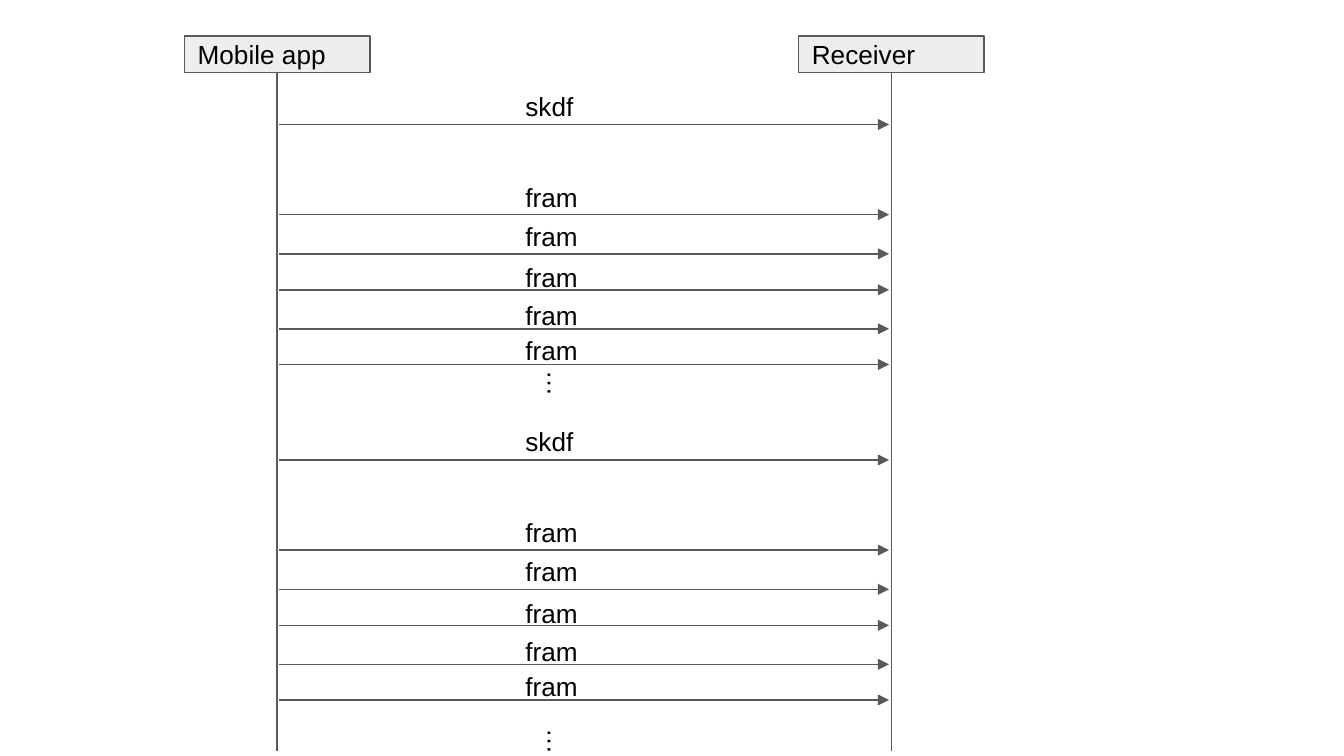
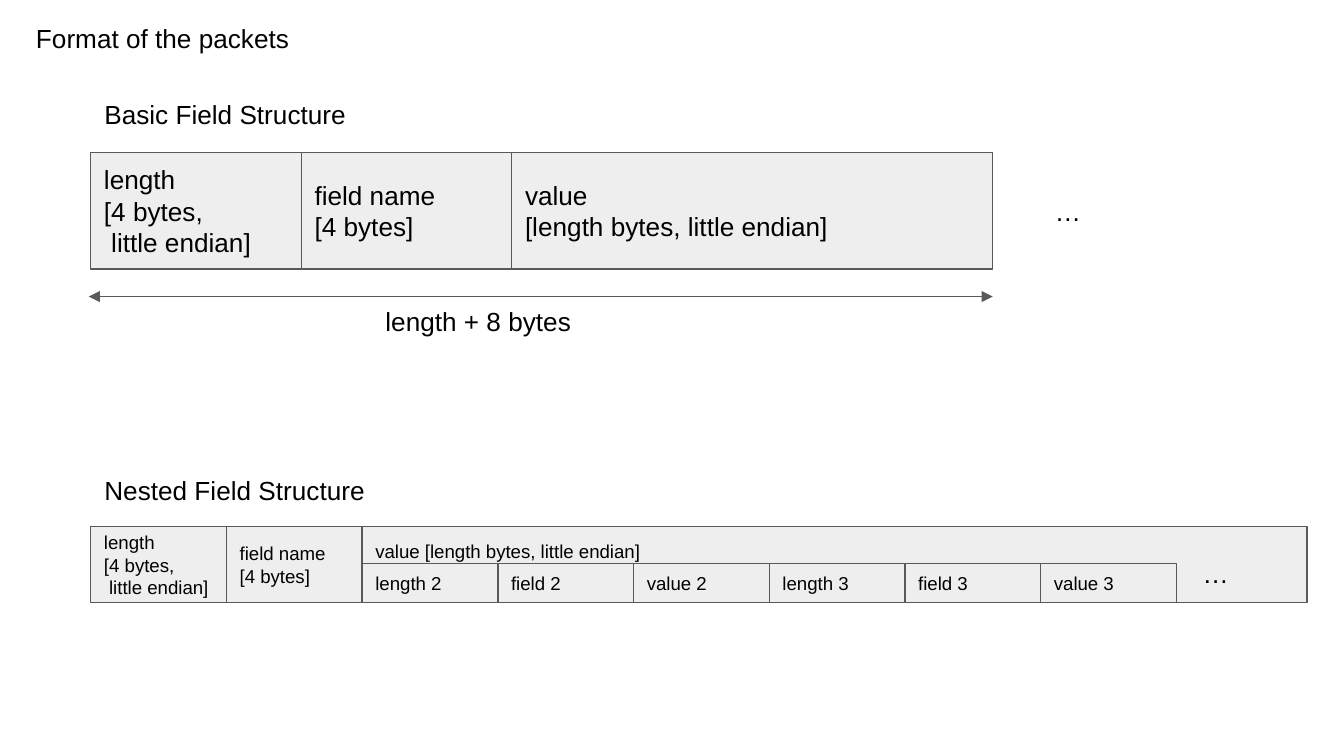
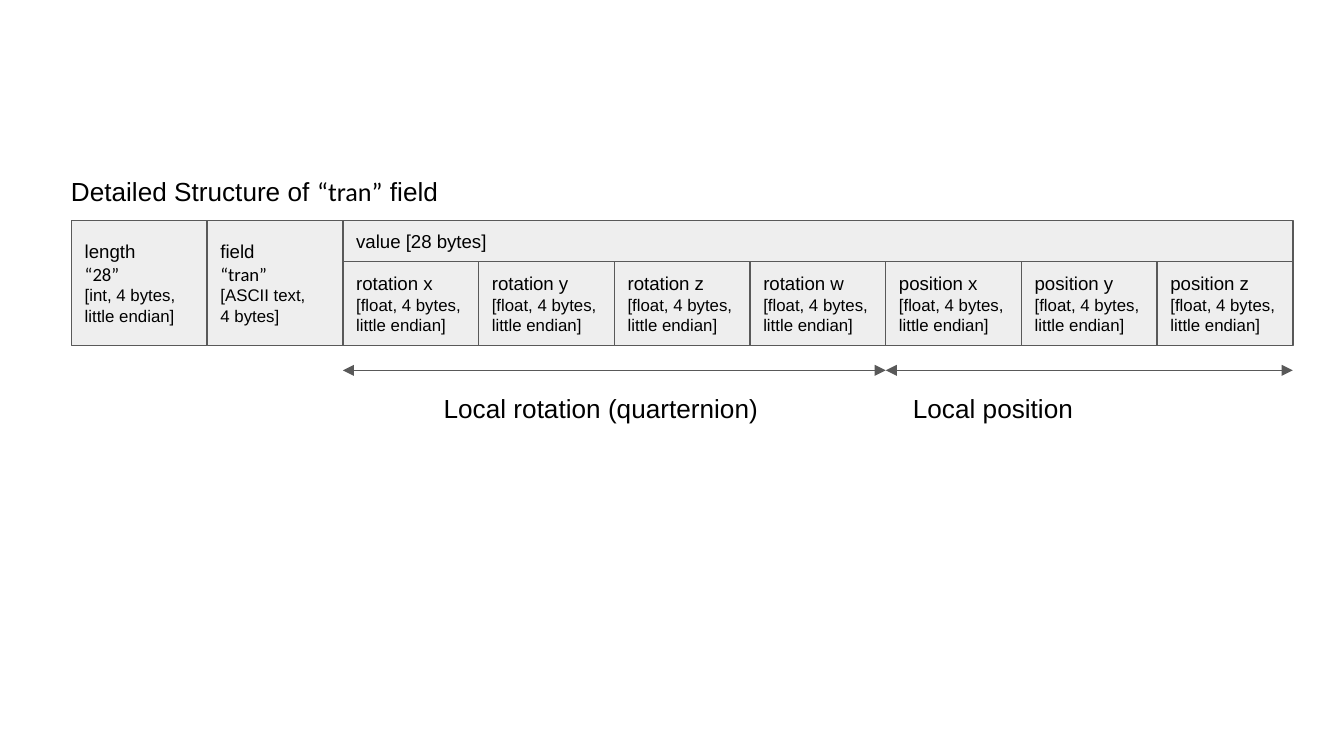
from dataclasses import dataclass

from lxml import etree
from pptx import Presentation
from pptx.dml.color import RGBColor
from pptx.enum import shapes, text
from pptx.oxml import ns
from pptx.util import Pt


@dataclass(frozen=True)
class Theme:
    fill: RGBColor = RGBColor(0xEE, 0xEE, 0xEE)
    line: RGBColor = RGBColor(0x59, 0x59, 0x59)
    ink: RGBColor = RGBColor(0, 0, 0)
    font: str = "Arial"
    quote_font: str = "Calibri"
    body: float = 14
    small: float = 10
    note: float = 9
    stroke: float = 0.75
    inset: float = 7.2
    label_height: float = 31


THEME = Theme()
COLUMN = 72.7  # width of one small packet field


# Content: a paragraph is a string or a list of runs (text, size, font)
def quoted(words, size):
    return words, size, THEME.quote_font


def noted(words):
    return [(words, THEME.note, THEME.font)]


# Sequence: participants (name, left), messages (name, label top, arrow y)
PARTICIPANTS = [("Mobile app", 98.8), ("Receiver", 427.8)]
MESSAGES = [
    ("skdf", 41, 66.7),
    ("fram", 89.8, 115),
    ("fram", 110.9, 136),
    ("fram", 133, 155.3),
    ("fram", 153.4, 176.2),
    ("fram", 172.2, 195.3),
]
ROUND_STEP = 179.7
ROUND_ENDS = [196.6, 388.1]  # tops of the closing ellipses

# Packet fields: (paragraphs, width)
LENGTH = ["length", "[4 bytes,", " little endian]"]
NAME = ["field name", "[4 bytes]"]
BASIC = [
    (LENGTH, 112.8),
    (NAME, 112.8),
    (["value", "[length bytes, little endian]"], 257.6),
]
NESTED = [(LENGTH, COLUMN), (NAME, COLUMN)]
NESTED_VALUE = ["value [length bytes, little endian]"]
NESTED_PARTS = [([f"{part} {number}"], COLUMN)
                for number in (2, 3) for part in ("length", "field", "value")]
PACKET_LABELS = [  # (words, left, top, width)
    ("Format of the packets", 12.2, 4.6, 214.6),
    ("Basic Field Structure", 48.8, 45.7, 214.6),
    ("Nested Field Structure", 48.8, 247.2, 214.6),
    ("length + 8 bytes", 199.4, 156.5, 214.6),
    ("…", 558, 97.3, 27.4),
    ("…", 637.2, 291.6, 27.4),
]

# The "tran" field
TRAN_TITLE = ["Detailed Structure of ", quoted("“tran”", THEME.body), " field"]
TRAN = [
    (["length", [quoted("“28”", THEME.small)],
      noted("[int, 4 bytes, little endian]")], COLUMN),
    (["field", [quoted("“tran”", THEME.small)],
      noted("[ASCII text,"), noted("4 bytes]")], COLUMN),
]
TRAN_PARTS = [([name, noted("[float, 4 bytes, little endian]")], COLUMN)
              for name in ("rotation x", "rotation y", "rotation z", "rotation w",
                           "position x", "position y", "position z")]
TRAN_GROUPS = [  # (words, number of parts, label left, label width)
    ("Local rotation (quarternion)", 4, 230.6, 229),
    ("Local position", 3, 482, 144),
]


# Shared parts
def write(frame, paragraphs, size, anchor):
    frame.word_wrap = True
    frame.vertical_anchor = anchor
    frame.margin_left = frame.margin_right = Pt(THEME.inset)
    frame.margin_top = frame.margin_bottom = Pt(THEME.inset)
    for index, content in enumerate(paragraphs):
        paragraph = frame.add_paragraph() if index else frame.paragraphs[0]
        paragraph.alignment = text.PP_ALIGN.LEFT
        for part in [content] if isinstance(content, str) else content:
            words, points, font = (part, size, THEME.font) if isinstance(part, str) else part
            run = paragraph.add_run()
            run.text = words
            run.font.size = Pt(points)
            run.font.name = font
            run.font.color.rgb = THEME.ink


def add_field(slide, paragraphs, left, top, width, height, size,
              anchor=text.MSO_ANCHOR.MIDDLE):
    field = slide.shapes.add_shape(shapes.MSO_SHAPE.RECTANGLE,
                                   Pt(left), Pt(top), Pt(width), Pt(height))
    field.shadow.inherit = False
    field.fill.solid()
    field.fill.fore_color.rgb = THEME.fill
    field.line.color.rgb = THEME.line
    field.line.width = Pt(THEME.stroke)
    write(field.text_frame, paragraphs, size, anchor)
    return field


def add_row(slide, fields, left, top, height, size):
    """Lay fields side by side and return the right edge."""
    for paragraphs, width in fields:
        add_field(slide, paragraphs, left, top, width, height, size)
        left += width
    return left


def add_label(slide, content, left, top, width):
    label = slide.shapes.add_textbox(Pt(left), Pt(top), Pt(width), Pt(THEME.label_height))
    write(label.text_frame, [content], THEME.body, text.MSO_ANCHOR.TOP)
    label.text_frame.auto_size = text.MSO_AUTO_SIZE.SHAPE_TO_FIT_TEXT
    return label


def add_line(slide, x1, y1, x2, y2, ends=()):
    line = slide.shapes.add_connector(shapes.MSO_CONNECTOR.STRAIGHT,
                                      Pt(x1), Pt(y1), Pt(x2), Pt(y2))
    line.line.color.rgb = THEME.line
    line.line.width = Pt(THEME.stroke)
    outline = line.line._get_or_add_ln()
    for end in ends:
        etree.SubElement(outline, ns.qn(f"a:{end}"), type="triangle")
    etree.SubElement(line._element.spPr, ns.qn("a:effectLst"))
    return line


def add_span(slide, left, right, y):
    add_line(slide, left, y, right, y, ("headEnd", "tailEnd"))


# Slides
def build_sequence(slide):
    top, width, height, bottom, gap = 19.2, 99.4, 19.8, 402.4, 1.2
    lifelines = []
    for name, left in PARTICIPANTS:
        participant = add_field(slide, [name], left, top, width, height, THEME.body)
        x = left + width / 2
        lifeline = add_line(slide, x, top + height, x, bottom)
        lifeline.begin_connect(participant, 2)
        lifelines.append(x)
    sender, receiver = lifelines

    for round_number, end_top in enumerate(ROUND_ENDS):
        shift = round_number * ROUND_STEP
        for name, label_top, arrow_y in MESSAGES:
            add_line(slide, sender + gap, arrow_y + shift,
                     receiver - gap, arrow_y + shift, ("tailEnd",))
            add_label(slide, name, 274.4, label_top + shift, 48.2)
        add_label(slide, "…", 278.6, end_top, 41).rotation = 90


def build_packets(slide):
    left, right = 48.6, 700.2
    basic_right = add_row(slide, BASIC, left, 81.7, 62.5, THEME.body)
    add_span(slide, left - 1, basic_right, 158.9)

    top, height, part_height = 282.2, 40.6, 20.9
    value_left = add_row(slide, NESTED, left, top, height, THEME.small)
    add_field(slide, NESTED_VALUE, value_left, top, right - value_left, height,
              THEME.small, text.MSO_ANCHOR.TOP)
    add_row(slide, NESTED_PARTS, value_left, top + height - part_height,
            part_height, THEME.small)

    for label in PACKET_LABELS:
        add_label(slide, *label)


def build_tran(slide):
    left, top, header, part_height = 38.3, 118.1, 22, 45
    add_label(slide, TRAN_TITLE, 30.9, 86.6, 229)
    value_left = add_row(slide, TRAN, left, top, header + part_height, THEME.small)
    right = add_row(slide, TRAN_PARTS, value_left, top + header, part_height, THEME.small)
    add_field(slide, ["value [28 bytes]"], value_left, top, right - value_left,
              header, THEME.small)

    span_left = value_left
    for words, count, label_left, label_width in TRAN_GROUPS:
        span_right = span_left + count * COLUMN
        add_span(slide, span_left, span_right, 198.4)
        add_label(slide, words, label_left, 202.8, label_width)
        span_left = span_right


def main():
    deck = Presentation()
    deck.slide_width, deck.slide_height = Pt(720), Pt(405)
    for build in (build_sequence, build_packets, build_tran):
        build(deck.slides.add_slide(deck.slide_layouts[6]))
    deck.save("out.pptx")


if __name__ == "__main__":
    main()
